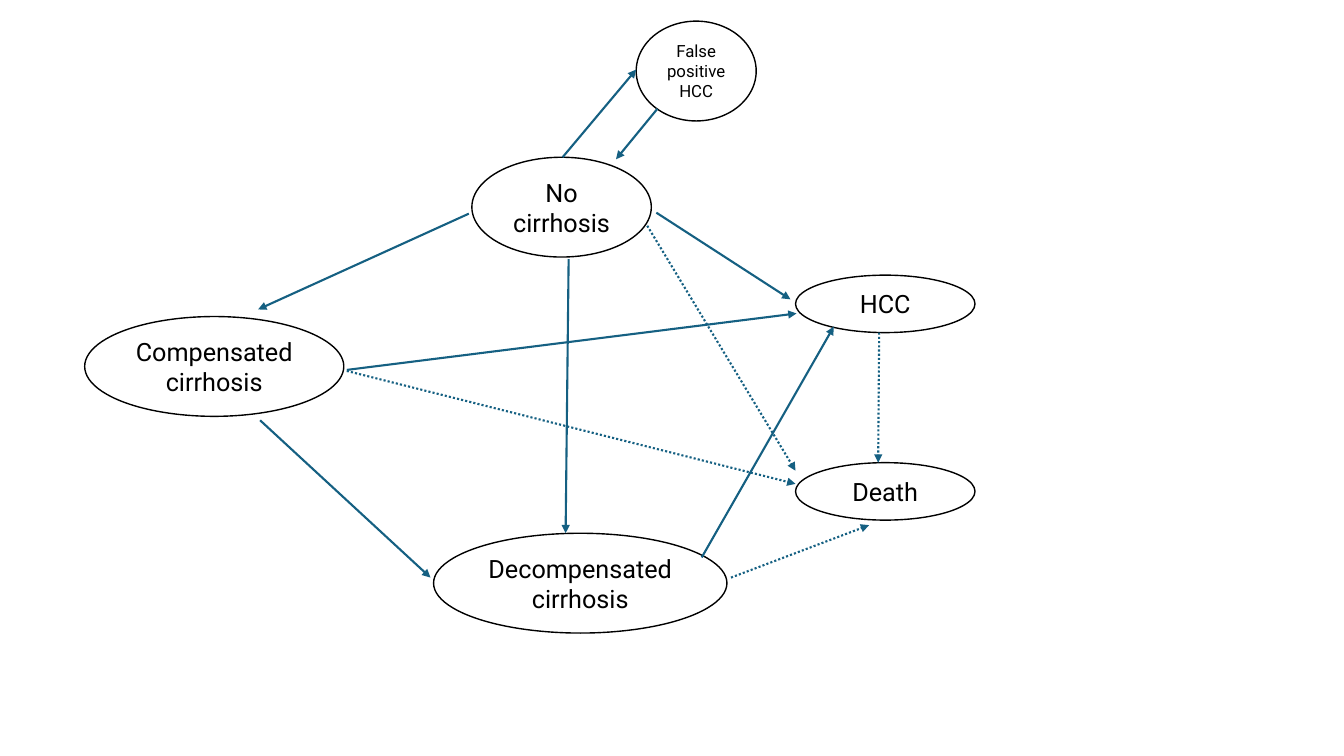
from dataclasses import dataclass
from typing import Any

from lxml.etree import SubElement
from pptx import Presentation
from pptx.dml.color import RGBColor
from pptx.enum.dml import MSO_LINE
from pptx.enum.shapes import MSO_CONNECTOR, MSO_SHAPE
from pptx.enum.text import MSO_ANCHOR, MSO_AUTO_SIZE, PP_ALIGN
from pptx.oxml.ns import qn
from pptx.slide import Slide
from pptx.util import Inches, Pt


@dataclass(frozen=True)
class Theme:
    ink: RGBColor = RGBColor(0x00, 0x00, 0x00)
    arrow: RGBColor = RGBColor(0x15, 0x60, 0x82)
    font: str = "Roboto"
    state_size: float = 18
    small_size: float = 12
    outline: float = 1
    arrow_width: float = 1.5


@dataclass(frozen=True)
class State:
    label: str
    left: float
    top: float
    width: float
    height: float
    size: float


@dataclass(frozen=True)
class Transition:
    start: tuple[float, float]
    end: tuple[float, float]
    dotted: bool = False


THEME = Theme()
TALL, FLAT = 0.99, 0.57

STATES = [
    State("Compensated cirrhosis", 0.84, 3.14, 2.57, TALL, THEME.state_size),
    State("Decompensated cirrhosis", 4.3, 5.29, 2.91, TALL, THEME.state_size),
    State("No cirrhosis", 4.68, 1.56, 1.78, TALL, THEME.state_size),
    State("HCC", 7.89, 2.73, 1.78, FLAT, THEME.state_size),
    State("Death", 7.89, 4.59, 1.78, FLAT, THEME.state_size),
    State("False positive HCC", 6.31, 0.21, 1.19, TALL, THEME.small_size),
]

TRANSITIONS = [
    Transition((2.58, 4.17), (4.27, 5.73)),
    Transition((3.44, 3.68), (7.89, 4.8), dotted=True),
    Transition((4.65, 2.12), (2.56, 3.07)),
    Transition((5.64, 2.57), (5.61, 5.29)),
    Transition((6.51, 2.11), (7.84, 2.97)),
    Transition((8.72, 3.3), (8.71, 4.59), dotted=True),
    Transition((7.25, 5.73), (8.62, 5.21), dotted=True),
    Transition((3.44, 3.67), (7.9, 3.11)),
    Transition((6.42, 2.24), (7.89, 4.67), dotted=True),
    Transition((6.96, 5.53), (8.27, 3.24)),
    Transition((5.58, 1.56), (6.31, 0.69)),
    Transition((6.52, 1.08), (6.11, 1.58)),
]


def apply_format(target: Any, values: dict[str, Any]) -> None:
    for name, value in values.items():
        setattr(target, name, value)


def draw_state(page: Slide, state: State) -> None:
    bounds = (state.left, state.top, state.width, state.height)
    oval = page.shapes.add_shape(MSO_SHAPE.OVAL, *map(Inches, bounds))
    oval.shadow.inherit = False
    oval.fill.background()
    oval.line.color.rgb = THEME.ink
    oval.line.width = Pt(THEME.outline)
    frame = oval.text_frame
    apply_format(frame, {
        "word_wrap": True,
        "auto_size": MSO_AUTO_SIZE.SHAPE_TO_FIT_TEXT,
        "vertical_anchor": MSO_ANCHOR.MIDDLE,
    })
    para = frame.paragraphs[0]
    para.alignment = PP_ALIGN.CENTER
    span = para.add_run()
    span.text = state.label
    apply_format(span.font, {"name": THEME.font, "size": Pt(state.size)})
    span.font.color.rgb = THEME.ink


def draw_transition(page: Slide, transition: Transition) -> None:
    ends = (*transition.start, *transition.end)
    arrow = page.shapes.add_connector(MSO_CONNECTOR.STRAIGHT, *map(Inches, ends))
    arrow.line.color.rgb = THEME.arrow
    apply_format(arrow.line, {
        "width": Pt(THEME.arrow_width),
        "dash_style": MSO_LINE.ROUND_DOT if transition.dotted else MSO_LINE.SOLID,
    })
    properties = arrow._element.spPr
    SubElement(properties.find(qn("a:ln")), qn("a:tailEnd"), type="triangle")
    SubElement(properties, qn("a:effectLst"))


def main() -> None:
    deck = Presentation()
    apply_format(deck, {"slide_width": Inches(13.33), "slide_height": Inches(7.5)})
    page = deck.slides.add_slide(deck.slide_layouts[6])
    for state in STATES:
        draw_state(page, state)
    for transition in TRANSITIONS:
        draw_transition(page, transition)
    deck.save("out.pptx")


if __name__ == "__main__":
    main()
